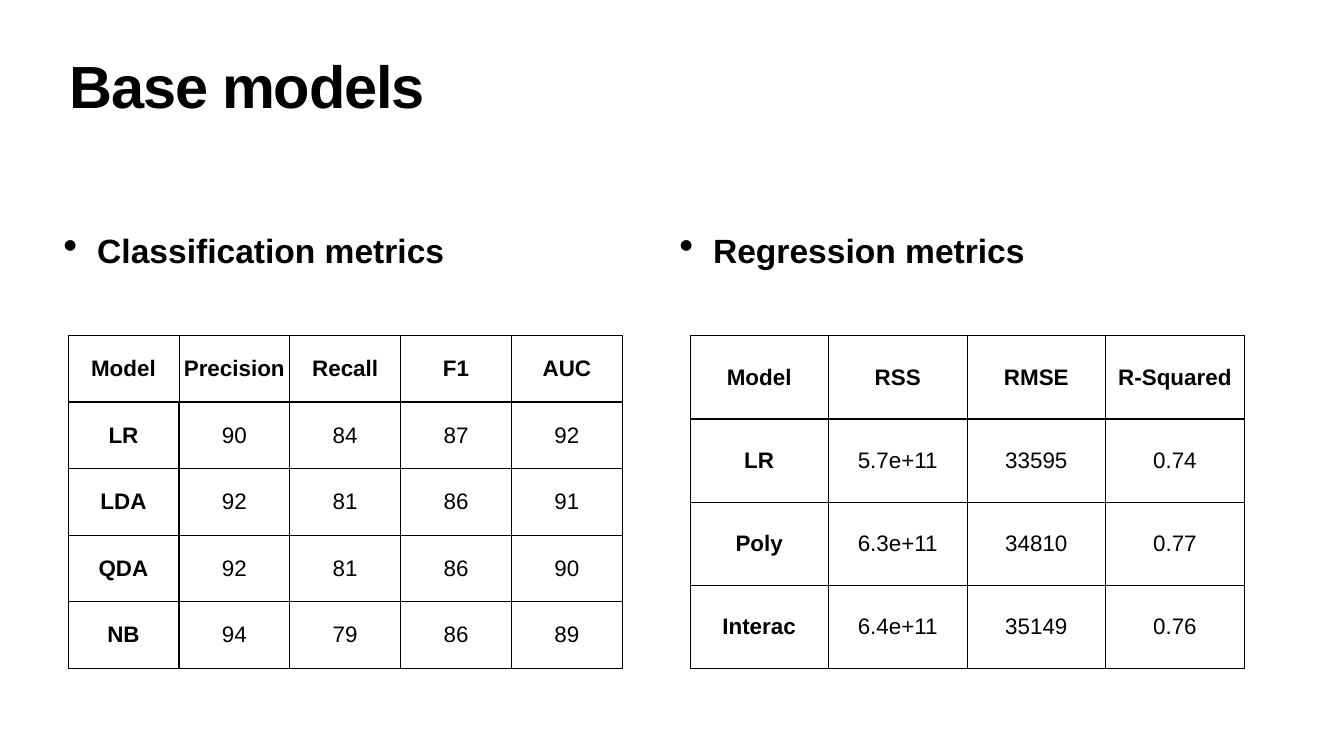
from dataclasses import dataclass

from lxml.etree import SubElement
from pptx import Presentation
from pptx.dml.color import RGBColor
from pptx.enum.text import MSO_ANCHOR as Anchor, PP_ALIGN as Align
from pptx.oxml.ns import qn
from pptx.util import Inches, Pt

TITLE = "Base models"
SECTIONS = [
    {
        "heading": "Classification metrics", "heading_left": 1.2, "table_left": 1.35,
        "rows": [
            ("Model", "Precision", "Recall", "F1", "AUC"),
            ("LR", "90", "84", "87", "92"),
            ("LDA", "92", "81", "86", "91"),
            ("QDA", "92", "81", "86", "90"),
            ("NB", "94", "79", "86", "89"),
        ],
    },
    {
        "heading": "Regression metrics", "heading_left": 13.42, "table_left": 13.69,
        "rows": [
            ("Model", "RSS", "RMSE", "R-Squared"),
            ("LR", "5.7e+11", "33595", "0.74"),
            ("Poly", "6.3e+11", "34810", "0.77"),
            ("Interac", "6.4e+11", "35149", "0.76"),
        ],
    },
]


@dataclass(frozen=True)
class Theme:
    font: str = "Arial"
    ink: str = "000000"
    paper: str = "FFFFFF"
    title: int = 85
    heading: int = 48
    cell: int = 32
    thin: int = 1
    thick: int = 3


THEME = Theme()
INSET = Inches(0.06)
TABLE_TOP, TABLE_WIDTH, TABLE_HEIGHT = 6.66, 11, 6.6
BULLET_INDENT = Inches(0.67)


def set_insets(target):
    target.margin_left = target.margin_right = INSET
    target.margin_top = target.margin_bottom = INSET


def add_run(p, text, size, bold=True):
    r = p.add_run()
    r.text = text
    r.font.name, r.font.size, r.font.bold = THEME.font, Pt(size), bold
    r.font.color.rgb = RGBColor.from_string(THEME.ink)
    return r


def add_text_box(slide, left, top, width, height, line_spacing):
    """Add an empty text box and return its first paragraph."""
    box = slide.shapes.add_textbox(*map(Inches, (left, top, width, height)))
    tf = box.text_frame
    tf.word_wrap = True
    tf.vertical_anchor = Anchor.TOP
    set_insets(tf)
    p = tf.paragraphs[0]
    p.line_spacing = line_spacing
    return p


def add_title(slide):
    p = add_text_box(slide, 1.32, 1.18, 24.03, 1.57, 0.8)
    r = add_run(p, TITLE, THEME.title)
    r.font._element.set("spc", "-170")


def add_heading(slide, text, left):
    p = add_text_box(slide, left, 4.59, 8.1, 1.2, 0.9)
    pPr = p._p.get_or_add_pPr()
    pPr.set("marL", str(BULLET_INDENT))
    pPr.set("indent", str(-BULLET_INDENT))
    SubElement(pPr, qn("a:buSzPct"), val="123000")
    SubElement(pPr, qn("a:buChar"), char="•")
    add_run(p, text, THEME.heading)


def set_borders(cell, right, bottom):
    """Draw all four sides; left and top are always thin."""
    tcPr = cell._tc.get_or_add_tcPr()
    sides = {"L": THEME.thin, "R": right, "T": THEME.thin, "B": bottom}
    for side, width in sides.items():
        ln = SubElement(tcPr, qn(f"a:ln{side}"), w=str(Pt(width)))
        fill = SubElement(ln, qn("a:solidFill"))
        SubElement(fill, qn("a:srgbClr"), val=THEME.ink)


def add_metrics_table(slide, rows, left):
    n_rows, n_cols = len(rows), len(rows[0])
    table = slide.shapes.add_table(
        n_rows, n_cols, Inches(left), Inches(TABLE_TOP),
        Inches(TABLE_WIDTH), Inches(TABLE_HEIGHT)).table
    table.first_row = table.horz_banding = False
    for column in table.columns:
        column.width = Inches(TABLE_WIDTH / n_cols)
    for row in table.rows:
        row.height = Inches(TABLE_HEIGHT / n_rows)

    for i, values in enumerate(rows):
        for j, value in enumerate(values):
            cell = table.cell(i, j)
            is_header = i == 0
            is_row_label = j == 0 and not is_header
            set_insets(cell)
            cell.vertical_anchor = Anchor.MIDDLE
            set_borders(cell,
                        right=THEME.thick if is_row_label else THEME.thin,
                        bottom=THEME.thick if is_header else THEME.thin)
            cell.fill.background()
            p = cell.text_frame.paragraphs[0]
            p.alignment = Align.CENTER
            add_run(p, value, THEME.cell, bold=is_header or is_row_label)


def main():
    prs = Presentation()
    prs.slide_width, prs.slide_height = Inches(26.67), Inches(15)
    slide = prs.slides.add_slide(prs.slide_layouts[6])
    background = slide.background.fill
    background.solid()
    background.fore_color.rgb = RGBColor.from_string(THEME.paper)

    add_title(slide)
    for section in SECTIONS:
        add_heading(slide, section["heading"], section["heading_left"])
        add_metrics_table(slide, section["rows"], section["table_left"])
    prs.save("out.pptx")


if __name__ == "__main__":
    main()
